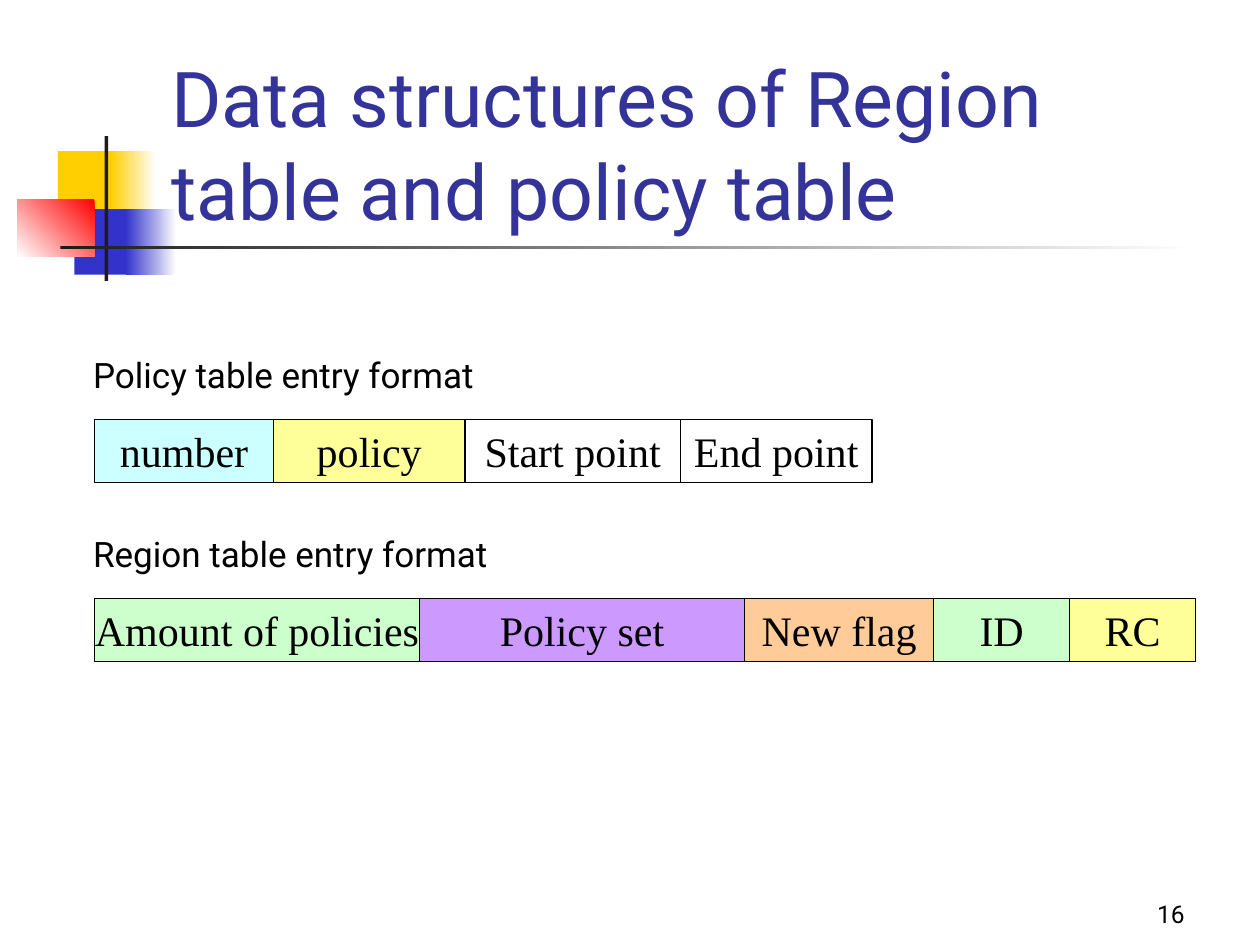
from pptx import Presentation
from pptx.dml.color import RGBColor
from pptx.enum import shapes, text
from pptx.util import Inches, Pt

COLORS = {
    "white": "FFFFFF", "black": "000000", "ink": "1C1C1C",
    "gold": "FFCF01", "blue": "3333CC", "red": "FF0000",
    "navy": "333399", "cyan": "CCFFFF", "yellow": "FFFF99",
    "green": "CCFFCC", "purple": "CC99FF", "orange": "FFCC99",
}


def color(name):
    return RGBColor.from_string(COLORS[name])


def write(shape, words, size=20, font="Roboto", ink="black", wrap=False,
          align=text.PP_ALIGN.LEFT, anchor=text.MSO_ANCHOR.TOP):
    frame = shape.text_frame
    frame.word_wrap = wrap
    frame.vertical_anchor = anchor
    para = frame.paragraphs[0]
    para.alignment = align
    run = para.add_run()
    run.text = words
    run.font.size = Pt(size)
    run.font.name = font
    run.font.color.rgb = color(ink)


def label(parent, box, words, **style):
    write(parent.add_textbox(*map(Inches, box)), words, **style)


def block(parent, box, fill, fade=None, line=None):
    shape = parent.add_shape(shapes.MSO_SHAPE.RECTANGLE, *map(Inches, box))
    shape.shadow.inherit = False
    if fade is None:
        shape.fill.solid()
        shape.fill.fore_color.rgb = color(fill)
    else:
        shape.fill.gradient()
        shape.fill.gradient_angle = fade
        for stop, name in zip(shape.fill.gradient_stops, (fill, "white")):
            stop.color.rgb = color(name)
    if line:
        shape.line.color.rgb = color(line)
        shape.line.width = Pt(0.75)
    else:
        shape.line.fill.background()
    return shape


def motif(parent, left, top):
    parts = [
        (0.32, 0.12, 0.48, 0.52, "gold", None),
        (0.74, 0.12, 0.36, 0.52, "gold", 0),
        (0.45, 0.58, 0.46, 0.52, "blue", None),
        (0.86, 0.58, 0.4, 0.52, "blue", 0),
        (0, 0.5, 0.61, 0.46, "red", 225),
        (0.69, 0, 0.03, 1.15, "ink", None),
        (0.34, 0.87, 9, 0.03, "ink", 0),
    ]
    for x, y, wide, high, fill, fade in parts:
        block(parent, (left + x, top + y, wide, high), fill, fade)


def entry(parent, left, top, title, width, cells):
    label(parent, (left - 0.11, top - 0.57, width, 0.44), title)
    row = parent.add_group_shape().shapes
    for words, wide, fill in cells:
        cell = block(row, (left, top, wide, 0.5), fill, line="black")
        write(cell, words, size=24, font="Times New Roman",
              align=text.PP_ALIGN.CENTER, anchor=text.MSO_ANCHOR.MIDDLE)
        left += wide


def main():
    deck = Presentation()
    deck.slide_width, deck.slide_height = Inches(10), Inches(7.5)
    parent = deck.slides.add_slide(deck.slide_layouts[6]).shapes
    motif(parent, 0.14, 1.08)
    label(parent, (1.26, 0.67, 8.52, 1.25),
          "Data structures of Region table and policy table",
          size=44, ink="navy", wrap=True, anchor=text.MSO_ANCHOR.BOTTOM)
    entry(parent, 0.75, 3.33, "Policy table entry format", 3.41, [
        ("number", 1.42, "cyan"),
        ("policy", 1.52, "yellow"),
        ("Start point", 1.71, "white"),
        ("End point", 1.52, "white"),
    ])
    entry(parent, 0.75, 4.75, "Region table entry format", 3.57, [
        ("Amount of policies", 2.58, "green"),
        ("Policy set", 2.58, "purple"),
        ("New flag", 1.5, "orange"),
        ("ID", 1.08, "green"),
        ("RC", 1, "yellow"),
    ])
    label(parent, (7.42, 6.92, 2.08, 0.5), "16", size=14, wrap=True,
          align=text.PP_ALIGN.RIGHT, anchor=text.MSO_ANCHOR.BOTTOM)
    deck.save("out.pptx")


if __name__ == "__main__":
    main()
